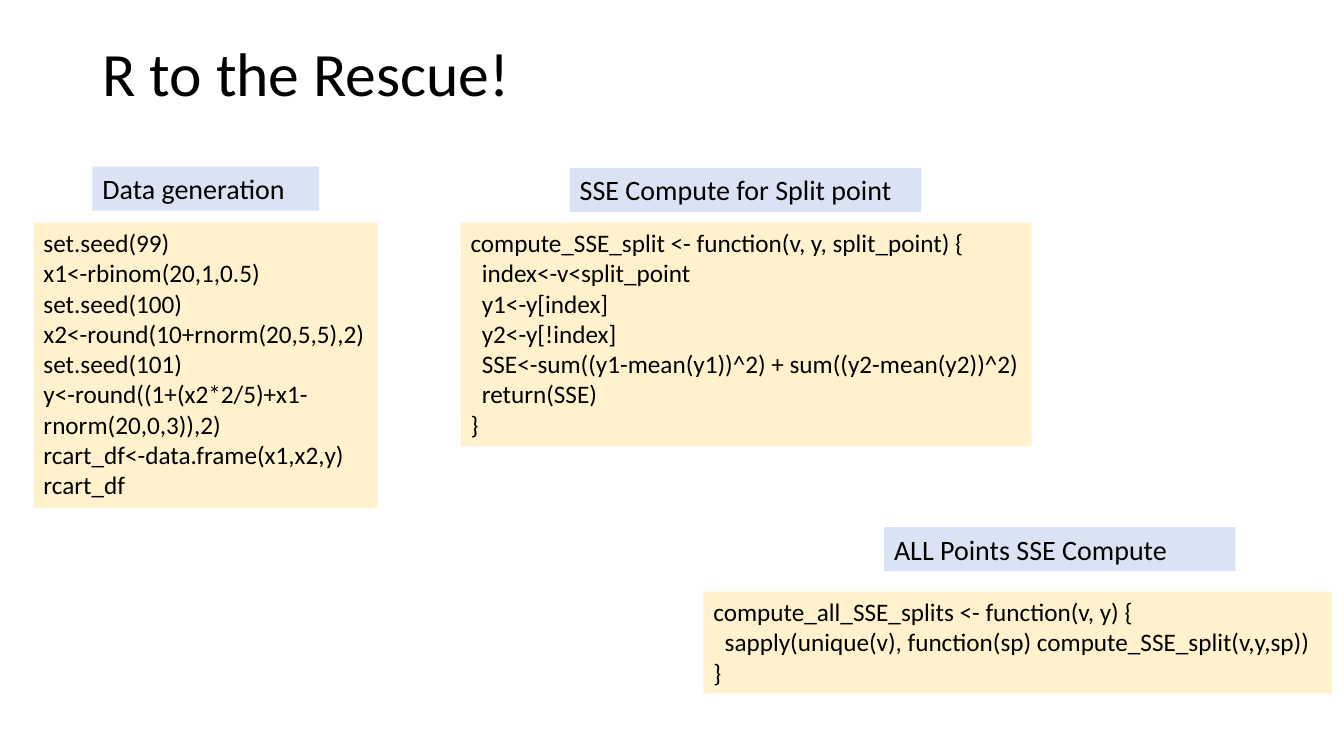
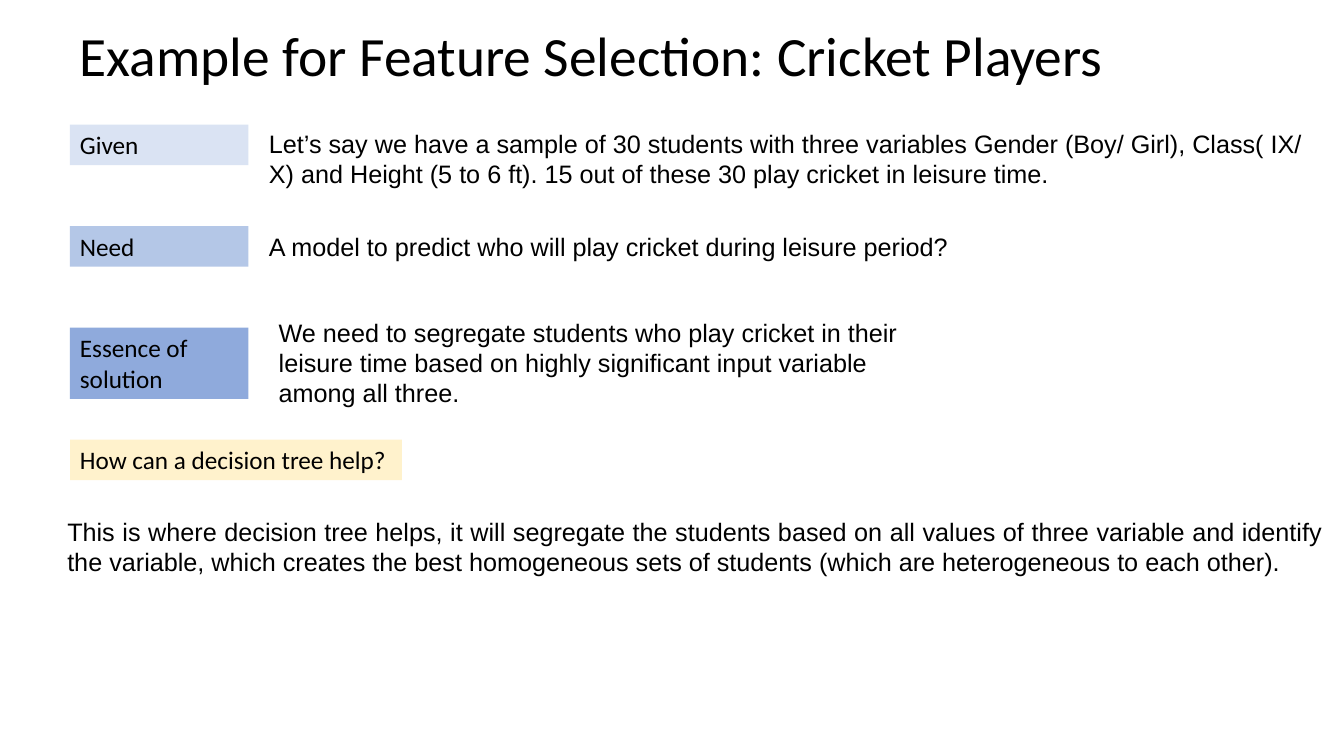
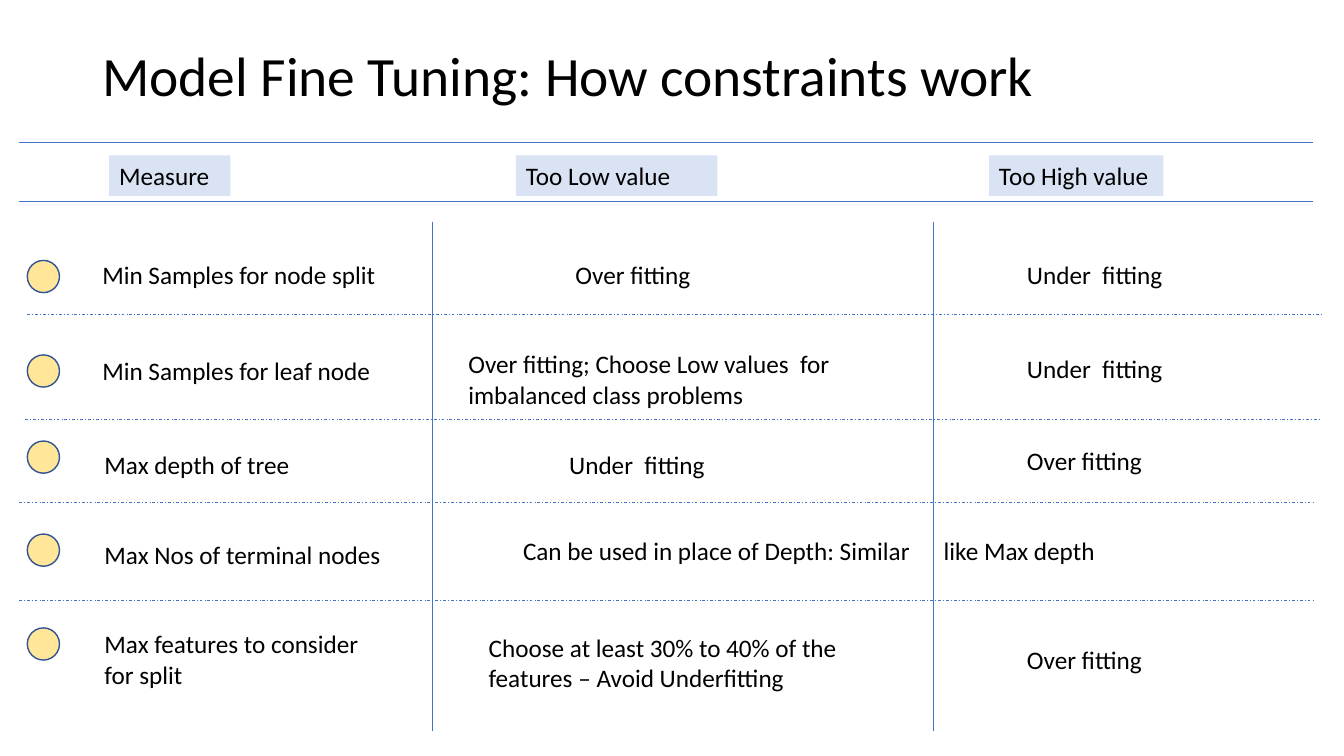
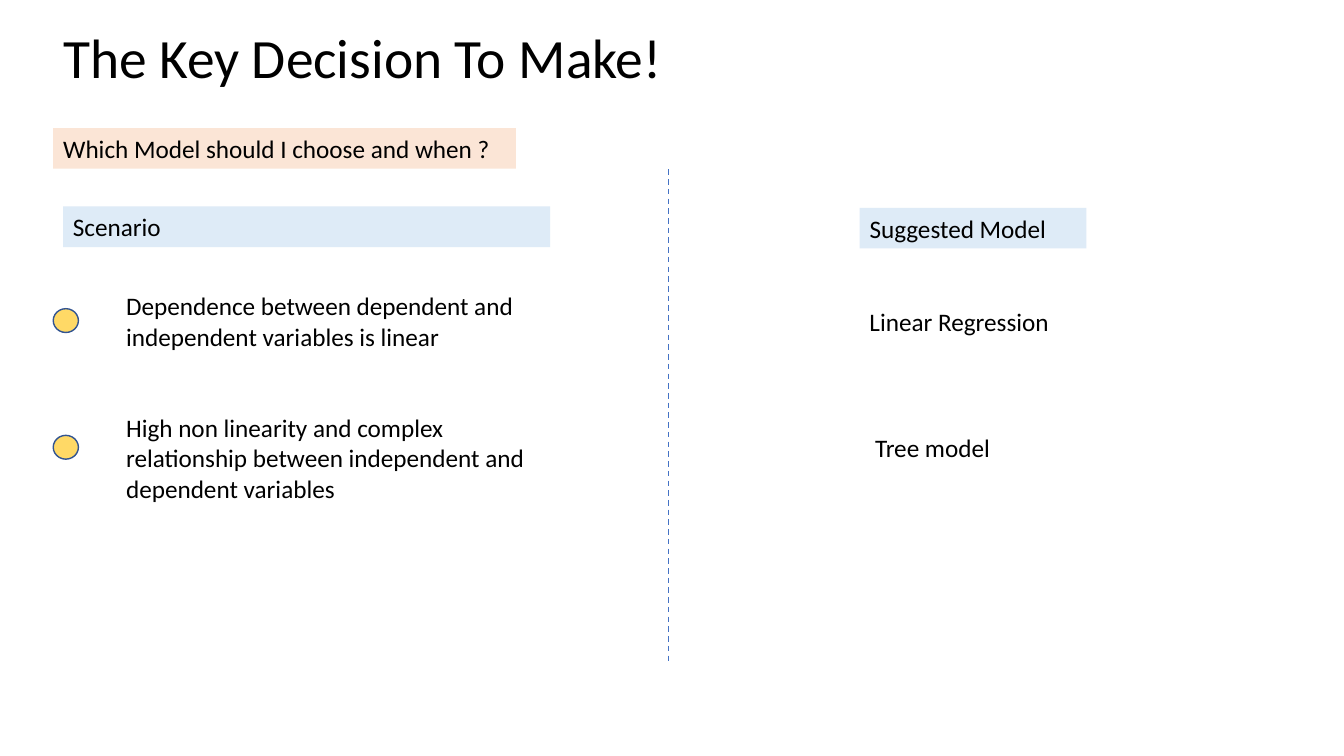
from lxml import etree
from pptx import Presentation
from pptx import util as u
from pptx.dml import color as c
from pptx.enum import dml, shapes, text
from pptx.oxml import ns

BLACK = "000000"
LINE_BLUE = "4472C4"
OUTLINE_BLUE = "325491"
LABEL_BLUE = "DAE3F3"
MEDIUM_BLUE = "B4C7E7"
STRONG_BLUE = "8FAADC"
HEADER_BLUE = "DEEBF7"
CREAM = "FFF2CC"
PEACH = "FBE5D6"
ROW_YELLOW = "FFE699"
SCENARIO_YELLOW = "FFD966"
BODY_SIZE = 18
ROW_HEIGHT = 29
CODE_INDENT = 8.1


def color(value):
    return c.RGBColor.from_string(value)


def points(*values):
    return [u.Pt(value) for value in values]


def write_text(shape, content, size=BODY_SIZE, font="Calibri", align=text.PP_ALIGN.LEFT):
    frame = shape.text_frame
    frame.word_wrap = True
    frame.vertical_anchor = text.MSO_ANCHOR.TOP
    frame.text = content
    for paragraph in frame.paragraphs:
        paragraph.alignment = align
        for run in paragraph.runs:
            run.font.name = font
            run.font.size = u.Pt(size)
            run.font.color.rgb = color(BLACK)


def add_text(slide, content, left, top, width, height=ROW_HEIGHT, **style):
    box = slide.shapes.add_textbox(*points(left, top, width, height))
    write_text(box, content, **style)
    return box


def add_title(slide, content, left, top, height, size=39.6):
    box = add_text(slide, content, left, top, 828, height, size=size)
    box.text_frame.vertical_anchor = text.MSO_ANCHOR.MIDDLE
    box.text_frame.paragraphs[0].line_spacing = 0.9


def add_filled(slide, kind, fill, left, top, width, height):
    shape = slide.shapes.add_shape(kind, *points(left, top, width, height))
    shape.shadow.inherit = False
    shape.fill.solid()
    shape.fill.fore_color.rgb = color(fill)
    return shape


def add_label(slide, content, left, top, width, height=ROW_HEIGHT, fill=LABEL_BLUE, **style):
    label = add_filled(slide, shapes.MSO_SHAPE.RECTANGLE, fill, left, top, width, height)
    label.line.fill.background()
    write_text(label, content, **style)
    return label


def add_code(slide, lines, left, top, width, height):
    content = "\n".join(line.lstrip() for line in lines)
    panel = add_label(slide, content, left, top, width, height, fill=CREAM)
    for line, paragraph in zip(lines, panel.text_frame.paragraphs):
        if line.startswith(" "):
            paragraph._p.get_or_add_pPr().set("marL", str(u.Pt(CODE_INDENT)))


def add_dot(slide, left, top, width, height, fill):
    dot = add_filled(slide, shapes.MSO_SHAPE.OVAL, fill, left, top, width, height)
    dot.line.color.rgb = color(OUTLINE_BLUE)
    dot.line.width = u.Pt(1)


def add_line(slide, start_x, start_y, end_x, end_y, width=0.5, dash=None):
    line = slide.shapes.add_connector(
        shapes.MSO_CONNECTOR.STRAIGHT, *points(start_x, start_y, end_x, end_y))
    line.line.color.rgb = color(LINE_BLUE)
    line.line.width = u.Pt(width)
    if dash:
        line.line.dash_style = dash
    etree.SubElement(line._element.spPr, ns.qn("a:effectLst"))


def add_tab_stop(box, position):
    properties = box.text_frame.paragraphs[0]._p.get_or_add_pPr()
    tabs = etree.SubElement(properties, ns.qn("a:tabLst"))
    etree.SubElement(tabs, ns.qn("a:tab"), pos=str(u.Pt(position)), algn="l")


def build_code_slide(slide):
    add_title(slide, "R to the Rescue!", 66, 23, 63, size=44)
    for content, left, top, width in (
        ("Data generation", 66, 119, 162),
        ("SSE Compute for Split point", 407, 120, 251),
        ("ALL Points SSE Compute", 631.5, 376.5, 251),
    ):
        add_label(slide, content, left, top, width, 31.5, size=20)
    add_code(slide, [
        "set.seed(99)",
        "x1<-rbinom(20,1,0.5)",
        "set.seed(100)",
        "x2<-round(10+rnorm(20,5,5),2)",
        "set.seed(101)",
        "y<-round((1+(x2*2/5)+x1-rnorm(20,0,3)),2)",
        "rcart_df<-data.frame(x1,x2,y)",
        "rcart_df",
    ], 24, 159, 246, 204)
    add_code(slide, [
        "compute_SSE_split <- function(v, y, split_point) {",
        "  index<-v<split_point",
        "  y1<-y[index]",
        "  y2<-y[!index]",
        "  SSE<-sum((y1-mean(y1))^2) + sum((y2-mean(y2))^2)",
        "  return(SSE)",
        "}",
    ], 329, 159, 408, 160)
    add_code(slide, [
        "compute_all_SSE_splits <- function(v, y) {",
        "  sapply(unique(v), function(sp) compute_SSE_split(v,y,sp))",
        "}",
    ], 502.5, 422.5, 449, 73)


def build_cricket_slide(slide):
    add_title(slide, "Example for Feature Selection: Cricket Players", 50, 15, 54)
    for content, top, width, height, fill in (
        ("Given", 89, 127.5, ROW_HEIGHT, LABEL_BLUE),
        ("Need", 161.5, 127.5, ROW_HEIGHT, MEDIUM_BLUE),
        ("Essence of solution", 234, 127.5, 51, STRONG_BLUE),
        ("How can a decision tree help?", 314, 237, ROW_HEIGHT, CREAM),
    ):
        add_label(slide, content, 50, top, width, height, fill)
    left, justify = text.PP_ALIGN.LEFT, text.PP_ALIGN.JUSTIFY
    for content, place, align in (
        ("Let’s say we have a sample of 30 students with three variables "
         "Gender (Boy/ Girl), Class( IX/ X) and Height (5 to 6 ft). "
         "15 out of these 30 play cricket in leisure time.",
         (185, 88, 754.5, 51), left),
        ("A model to predict who will play cricket during leisure period?",
         (185, 161.5, 743, 29), left),
        ("We need to segregate students who play cricket in their leisure time "
         "based on highly significant input variable among all three.",
         (192, 223, 480, 73), left),
        ("This is where decision tree helps, it will segregate the students "
         "based on all values of three variable and identify the variable, "
         "which creates the best homogeneous sets of students "
         "(which are heterogeneous to each other).",
         (41, 365, 911, 51), justify),
    ):
        add_text(slide, content, *place, font="Arial", align=align)


def build_constraints_slide(slide):
    add_title(slide, "Model Fine Tuning: How constraints work", 66, 29, 54)
    for content, left, width in (
        ("Measure", 78, 86.5),
        ("Too Low value", 368.5, 144),
        ("Too High value", 706.5, 124.5),
    ):
        add_label(slide, content, left, 111, width)
    for x in (309, 667):
        add_line(slide, x, 158.5, x, 522)
    dash_dot = dml.MSO_LINE.DASH_DOT
    for left, y, dash in (
        (13.5, 102, None), (13.5, 144, None),
        (19.5, 224.5, dash_dot), (18, 299.5, dash_dot),
        (13.5, 358.5, dash_dot), (13.5, 429, dash_dot),
    ):
        add_line(slide, left, y, left + 924.5, y, dash=dash)
    for top in (186, 253.5, 315, 381.5, 448.5):
        add_dot(slide, 19.5, top, 23, 23, ROW_YELLOW)
    for content, left, top, height in (
        ("Min Samples for node split", 66, 182, ROW_HEIGHT),
        ("Min Samples for leaf node", 66, 250, ROW_HEIGHT),
        ("Max depth of tree", 67.5, 317.5, ROW_HEIGHT),
        ("Max Nos of terminal nodes", 67.5, 381.5, ROW_HEIGHT),
        ("Max features to consider for split", 67.5, 445.5, 51),
    ):
        add_text(slide, content, left, top, 218, height)
    for content, left, top, width, height in (
        ("Over fitting", 404, 182, 122.5, ROW_HEIGHT),
        ("Over fitting; Choose Low values  for imbalanced class problems",
         327.5, 245.5, 323.5, 51),
        ("Under  fitting", 399.5, 317.5, 122.5, ROW_HEIGHT),
        ("Choose at least 30% to 40% of the features – Avoid Underfitting",
         342, 448, 323.5, 51),
    ):
        add_text(slide, content, left, top, width, height)
    for content, top in (
        ("Under  fitting", 182), ("Under  fitting", 248.5),
        ("Over fitting", 314.5), ("Over fitting", 456.5),
    ):
        add_text(slide, content, 726.5, top, 122.5)
    spanning = add_text(
        slide, "Can be used in place of Depth: Similar\tlike Max depth", 366.5, 378.5, 527)
    add_tab_stop(spanning, 300.5)


def build_decision_slide(slide):
    add_title(slide, "The Key Decision To Make!", 38, 23, 41)
    for content, left, top, width, fill in (
        ("Which Model should I choose and when ?", 38, 91.5, 330.5, PEACH),
        ("Scenario", 45, 147.5, 348, HEADER_BLUE),
        ("Suggested Model", 614, 148.5, 162, HEADER_BLUE),
    ):
        add_label(slide, content, left, top, width, fill=fill)
    add_line(slide, 477.5, 121, 477.5, 474, width=1, dash=dml.MSO_LINE.DASH)
    for scenario, top, height, dot_top, model, model_left, model_top in (
        ("Dependence between dependent and independent variables is linear",
         204, 51, 220.5, "Linear Regression", 614, 215.5),
        ("High non linearity and complex relationship between independent "
         "and dependent variables",
         291, 73, 311, "Tree model", 618, 305.5),
    ):
        add_text(slide, scenario, 83, top, 316, height)
        add_dot(slide, 38, dot_top, 18, 17, SCENARIO_YELLOW)
        add_text(slide, model, model_left, model_top, 316)


def main():
    presentation = Presentation()
    presentation.slide_width, presentation.slide_height = points(960, 540)
    blank = presentation.slide_layouts[6]
    for build in (build_code_slide, build_cricket_slide,
                  build_constraints_slide, build_decision_slide):
        build(presentation.slides.add_slide(blank))
    presentation.save("out.pptx")


if __name__ == "__main__":
    main()
